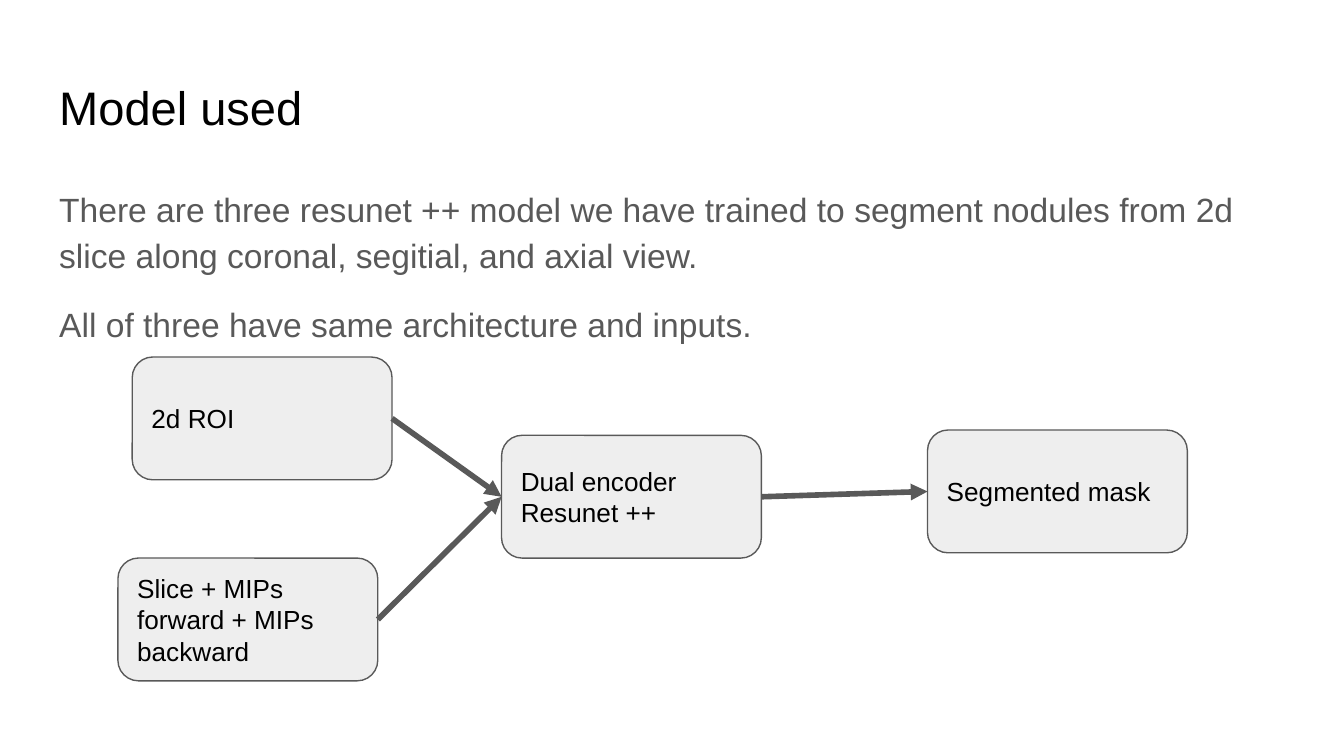
"""Build the slide on the segmentation model and its inputs."""
from lxml import etree
from pptx import Presentation
from pptx import util as u
from pptx.dml.color import RGBColor
from pptx.enum import shapes, text
from pptx.oxml import ns


def paint(color_format, hex_code):
    color_format.rgb = RGBColor.from_string(hex_code)


def write(frame, *paragraphs, size=14, color="000000", font="Arial",
          spacing=1.0, gap=0, anchor=text.MSO_ANCHOR.TOP):
    frame.word_wrap = True
    frame.vertical_anchor = anchor
    frame.margin_left = frame.margin_right = u.Cm(0.25)
    frame.margin_top = frame.margin_bottom = u.Cm(0.25)
    for index, words in enumerate(paragraphs):
        paragraph = frame.add_paragraph() if index else frame.paragraphs[0]
        paragraph.alignment = text.PP_ALIGN.LEFT
        paragraph.line_spacing = spacing
        paragraph.space_before = u.Pt(gap if index else 0)
        run = paragraph.add_run()
        run.text = words
        run.font.name = font
        run.font.size = u.Pt(size)
        paint(run.font.color, color)


class Flow:
    """Hold the style and the slide being drawn."""

    gray = "595959"
    pale = "EEEEEE"
    left, width = 0.87, 23.67
    box_width, box_height = 4.91, 2.32
    right_site, left_site = 3, 1

    def __init__(self, slide):
        self.slide = slide

    def text_block(self, top, height, *paragraphs, **style):
        block = self.slide.shapes.add_textbox(
            u.Cm(self.left), u.Cm(top), u.Cm(self.width), u.Cm(height))
        write(block.text_frame, *paragraphs, **style)

    def box(self, left, top, label):
        box = self.slide.shapes.add_shape(
            shapes.MSO_SHAPE.ROUNDED_RECTANGLE, u.Cm(left), u.Cm(top),
            u.Cm(self.box_width), u.Cm(self.box_height))
        box.shadow.inherit = False
        box.fill.solid()
        paint(box.fill.fore_color, self.pale)
        paint(box.line.color, self.gray)
        box.line.width = u.Pt(0.75)
        write(box.text_frame, label, anchor=text.MSO_ANCHOR.MIDDLE)
        return box

    def arrow(self, source, target):
        arrow = self.slide.shapes.add_connector(
            shapes.MSO_CONNECTOR.STRAIGHT, 0, 0, 0, 0)
        arrow.begin_connect(source, self.right_site)
        arrow.end_connect(target, self.left_site)
        paint(arrow.line.color, self.gray)
        arrow.line.width = u.Pt(3)
        etree.SubElement(arrow.line._get_or_add_ln(), ns.qn("a:tailEnd"), type="triangle")
        etree.SubElement(arrow._element.spPr, ns.qn("a:effectLst"))


def main():
    deck = Presentation()
    deck.slide_width, deck.slide_height = u.Cm(25.4), u.Cm(14.29)
    flow = Flow(deck.slides.add_slide(deck.slide_layouts[6]))

    flow.text_block(1.24, 1.6, "Model used", size=25.2)
    flow.text_block(
        3.2, 9.5,
        "There are three resunet ++ model we have trained to segment nodules "
        "from 2d slice along coronal, segitial, and axial view.",
        "All of three have same architecture and inputs.",
        size=18, color=flow.gray, spacing=1.15, gap=12)

    roi = flow.box(2.5, 6.75, "2d ROI")
    slices = flow.box(2.23, 10.55, "Slice + MIPs forward + MIPs backward")
    encoder = flow.box(9.48, 8.23, "Dual encoder Resunet ++")
    mask = flow.box(17.53, 8.13, "Segmented mask")

    for source, target in ((roi, encoder), (slices, encoder), (encoder, mask)):
        flow.arrow(source, target)

    deck.save("out.pptx")


if __name__ == "__main__":
    main()
